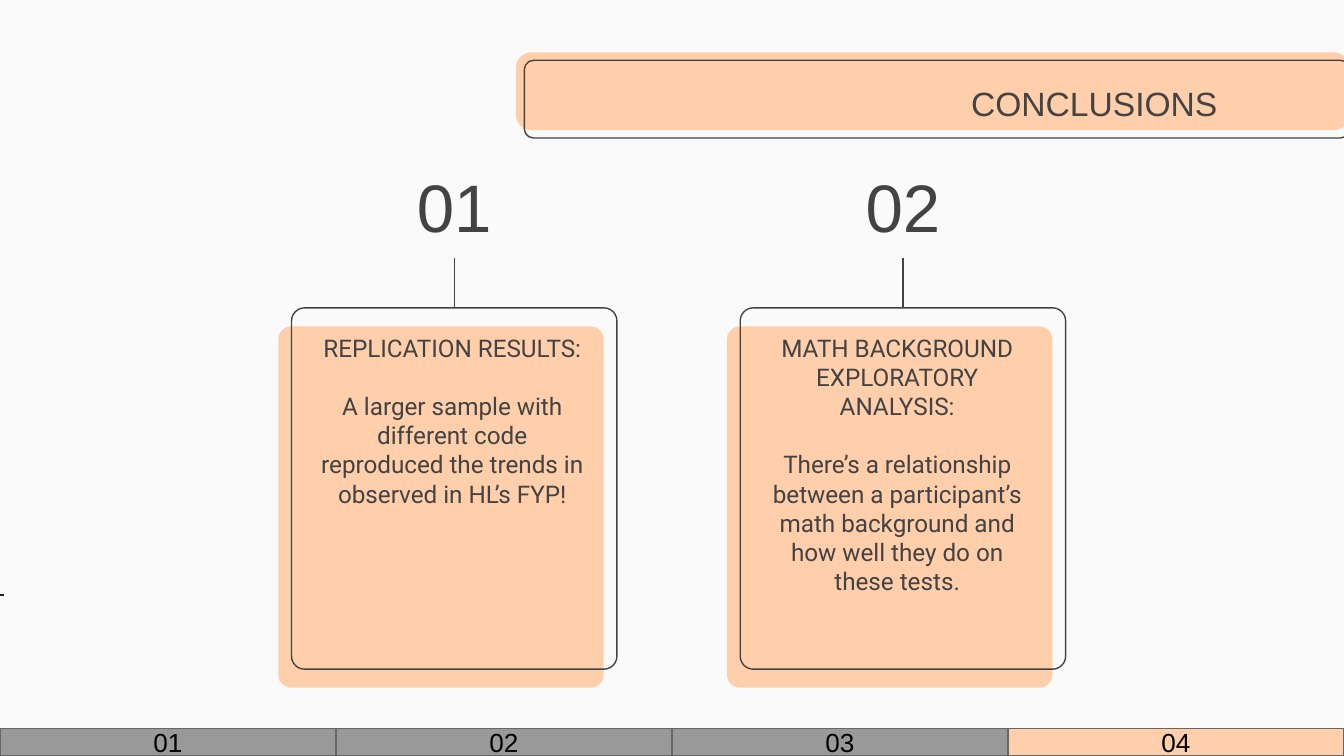
from lxml import etree
from pptx import Presentation
from pptx.dml.color import RGBColor
from pptx.enum import shapes, text
from pptx.oxml import ns
from pptx.util import Cm, Pt

PEACH = RGBColor(0xFF, 0xCE, 0xAA)
DARK = RGBColor(0x43, 0x43, 0x43)
INK = RGBColor(0x1F, 0x1F, 0x1F)
BLACK = RGBColor(0, 0, 0)
GREY = RGBColor(0x99, 0x99, 0x99)
EDGE = RGBColor(0x66, 0x66, 0x66)
PAPER = RGBColor(0xFA, 0xFA, 0xFA)
WIDE, HIGH = 25.4, 14.29

TITLE = "CONCLUSIONS"
# number, left of the text, heading, body
CARDS = [
    ("01", 5.74, "REPLICATION RESULTS:",
     "A larger sample with different code reproduced the trends "
     "in observed in HL’s FYP!"),
    ("02", 14.15, "MATH BACKGROUND EXPLORATORY ANALYSIS:",
     "There’s a relationship between a participant’s math background "
     "and how well they do on these tests."),
]
TABS = ["01", "02", "03", "04"]
ACTIVE = "04"

CARD_X, CARD_Y, CARD_W, CARD_H = 5.51, 5.82, 6.15, 6.83
STEP = 8.48
STEM_Y = 4.88
NUM_W = 4.39
TAB_Y, TAB_H = 13.77, 0.52

ROUND = shapes.MSO_SHAPE.ROUNDED_RECTANGLE
RECT = shapes.MSO_SHAPE.RECTANGLE
ALIGN = text.PP_ALIGN
ANCHOR = text.MSO_ANCHOR


def box(slide, kind, spot, fill=None, edge=None, adj=None):
    shape = slide.shapes.add_shape(kind, *map(Cm, spot))
    shape.shadow.inherit = False
    if adj is not None:
        shape.adjustments[0] = adj
    paint(shape, fill, edge)
    return shape


def paint(shape, fill, edge):
    if fill is None:
        shape.fill.background()
    else:
        shape.fill.solid()
        shape.fill.fore_color.rgb = fill
    if edge is None:
        shape.line.fill.background()
    else:
        shape.line.color.rgb = edge
        shape.line.width = Pt(0.75)


def write(shape, paras, size, font="Arial", color=DARK,
          align=ALIGN.CENTER, anchor=ANCHOR.TOP, gap=0):
    """Fill a shape with paragraphs, set gap points apart."""
    frame = shape.text_frame
    frame.word_wrap = True
    frame.auto_size = text.MSO_AUTO_SIZE.NONE
    frame.vertical_anchor = anchor
    frame.margin_left = frame.margin_right = Cm(0.25)
    frame.margin_top = frame.margin_bottom = Cm(0.25)
    for i, words in enumerate(paras):
        para = frame.add_paragraph() if i else frame.paragraphs[0]
        para.alignment = align
        para.space_before = Pt(gap if i else 0)
        run = para.add_run()
        run.text = words
        run.font.size = Pt(size)
        run.font.name = font
        run.font.color.rgb = color


def add_title(slide):
    box(slide, ROUND, (9.75, 0.99, 15.75, 1.47), PEACH, adj=0.2)
    rim = box(slide, ROUND, (9.91, 1.14, 15.6, 1.47), edge=DARK, adj=0.12)
    title = slide.shapes.title
    title.left, title.top = Cm(14.4), Cm(1.27)
    title.width, title.height = Cm(8.86), Cm(1.35)
    write(title, [TITLE], 18, align=ALIGN.RIGHT, anchor=ANCHOR.MIDDLE)
    rim.element.addnext(title.element)  # in front of the banner


def add_card(slide, x, num, left, head, body):
    box(slide, ROUND, (x - 0.25, CARD_Y + 0.35, CARD_W, CARD_H),
        PEACH, adj=0.04)
    rim = box(slide, ROUND, (x, CARD_Y, CARD_W, CARD_H), edge=DARK, adj=0.04)
    note = slide.shapes.add_textbox(Cm(left), Cm(6.05), Cm(5.61), Cm(5.92))
    write(note, [head, body], 13, "Roboto", gap=15.5)

    mid = x + CARD_W / 2
    label = slide.shapes.add_textbox(
        Cm(mid - NUM_W / 2), Cm(2.08), Cm(NUM_W), Cm(2.82))
    write(label, [num], 36, anchor=ANCHOR.BOTTOM)
    stem = slide.shapes.add_connector(
        shapes.MSO_CONNECTOR.STRAIGHT,
        Cm(mid), Cm(STEM_Y), Cm(mid), Cm(CARD_Y))
    stem.end_connect(rim, 0)
    stem.line.color.rgb = DARK
    stem.line.width = Pt(0.75)
    etree.SubElement(stem.element.spPr, ns.qn("a:effectLst"))


def add_tick(slide):
    y = Cm(11.25)
    path = slide.shapes.build_freeform(0, y)
    path.add_line_segments([(Cm(0.08), y)], close=False)
    tick = path.convert_to_shape()
    tick.shadow.inherit = False
    paint(tick, None, INK)


def add_tabs(slide):
    wide = WIDE / len(TABS)
    for i, name in enumerate(TABS):
        fill = PEACH if name == ACTIVE else GREY
        tab = box(slide, RECT, (i * wide, TAB_Y, wide, TAB_H), fill, EDGE)
        write(tab, [name], 14, color=BLACK, anchor=ANCHOR.MIDDLE)


def main():
    deck = Presentation()
    deck.slide_width, deck.slide_height = Cm(WIDE), Cm(HIGH)
    slide = deck.slides.add_slide(deck.slide_layouts[5])
    slide.background.fill.solid()
    slide.background.fill.fore_color.rgb = PAPER
    add_title(slide)
    for i, card in enumerate(CARDS):
        add_card(slide, CARD_X + i * STEP, *card)
    add_tick(slide)
    add_tabs(slide)
    deck.save("out.pptx")


if __name__ == "__main__":
    main()
